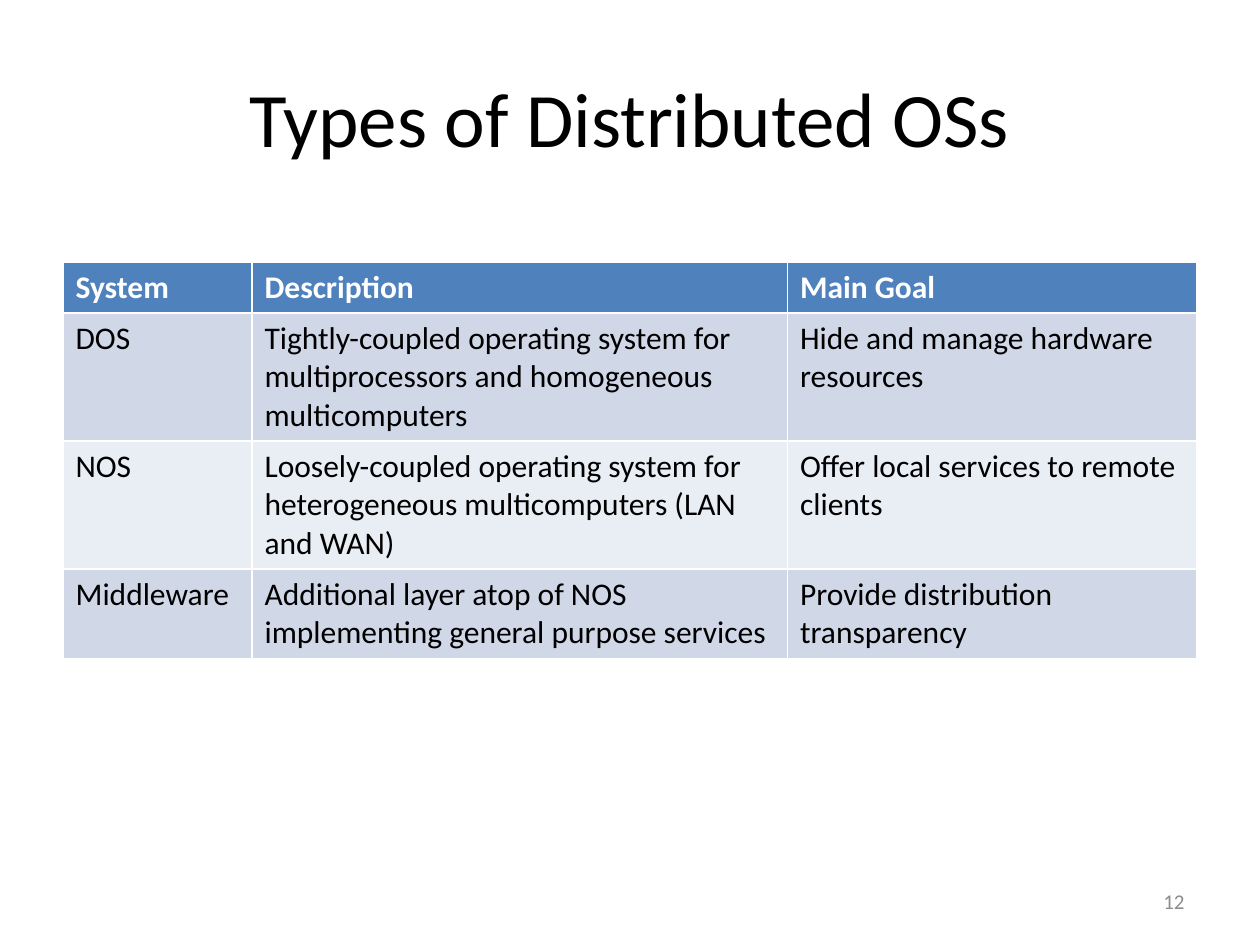
"""Build a slide comparing the types of distributed operating systems."""
from dataclasses import dataclass

from pptx import Presentation
from pptx.dml.color import RGBColor
from pptx.enum.text import MSO_ANCHOR, PP_ALIGN
from pptx.util import Inches, Pt

CENTER, LEFT, RIGHT = PP_ALIGN.CENTER, PP_ALIGN.LEFT, PP_ALIGN.RIGHT
TOP, MIDDLE = MSO_ANCHOR.TOP, MSO_ANCHOR.MIDDLE
TITLE_ONLY = 5
GRID = 0.5


@dataclass(frozen=True)
class Theme:
    font: str = "Calibri"
    ink: str = "000000"
    paper: str = "FFFFFF"
    muted: str = "8C8C8C"
    header: str = "4F81BD"
    bands: tuple = ("D0D8E8", "E9EDF4")
    title_size: int = 44
    table_size: int = 18
    number_size: int = 12


class SlideBuilder:
    def __init__(self, presentation, theme):
        self.theme = theme
        self.slide = presentation.slides.add_slide(presentation.slide_layouts[TITLE_ONLY])

    def box(self, left, top, width, height):
        return [Inches(units * GRID) for units in (left, top, width, height)]

    def set_text(self, frame, text, size, color, align=LEFT, bold=False):
        frame.text = text
        frame.word_wrap = True
        formats = {"name": self.theme.font, "size": Pt(size), "bold": bold}
        for paragraph in frame.paragraphs:
            paragraph.alignment = align
            for run in paragraph.runs:
                for name, value in formats.items():
                    setattr(run.font, name, value)
                run.font.color.rgb = RGBColor.from_string(color)

    def title(self, text, *place):
        shape = self.slide.shapes.title
        shape.left, shape.top, shape.width, shape.height = self.box(*place)
        self.set_text(shape.text_frame, text, self.theme.title_size, self.theme.ink, CENTER)
        shape.text_frame.vertical_anchor = MIDDLE

    def table(self, rows, left, top, widths, heights):
        place = self.box(left, top, sum(widths), sum(heights))
        table = self.slide.shapes.add_table(len(rows), len(widths), *place).table
        for column, width in zip(table.columns, widths):
            column.width = Inches(width * GRID)
        for index, (row, height, texts) in enumerate(zip(table.rows, heights, rows)):
            row.height = Inches(height * GRID)
            is_header = index == 0
            fill = self.theme.header if is_header else self.theme.bands[(index - 1) % 2]
            color = self.theme.paper if is_header else self.theme.ink
            for cell, text in zip(row.cells, texts):
                cell.fill.solid()
                cell.fill.fore_color.rgb = RGBColor.from_string(fill)
                cell.vertical_anchor = TOP
                self.set_text(cell.text_frame, text, self.theme.table_size, color, bold=is_header)

    def page_number(self, number, *place):
        frame = self.slide.shapes.add_textbox(*self.box(*place)).text_frame
        self.set_text(frame, str(number), self.theme.number_size, self.theme.muted, RIGHT)
        frame.vertical_anchor = MIDDLE


def main():
    presentation = Presentation()
    presentation.slide_width, presentation.slide_height = Inches(10), Inches(7.5)
    builder = SlideBuilder(presentation, Theme())
    builder.title("Types of Distributed OSs", 1, 0.6, 18, 2.5)
    systems = [
        ("System", "Description", "Main Goal"),
        ("DOS",
         "Tightly-coupled operating system for multiprocessors and homogeneous multicomputers",
         "Hide and manage hardware resources"),
        ("NOS",
         "Loosely-coupled operating system for\nheterogeneous multicomputers (LAN and WAN)",
         "Offer local services to remote clients"),
        ("Middleware",
         "Additional layer atop of NOS implementing general purpose services",
         "Provide distribution transparency"),
    ]
    builder.table(systems, 1, 4.16, (3, 8.5, 6.5), (0.81, 2.03, 2.03, 1.4))
    builder.page_number(12, 14.34, 13.9, 4.66, 0.8)
    presentation.save("out.pptx")


if __name__ == "__main__":
    main()
